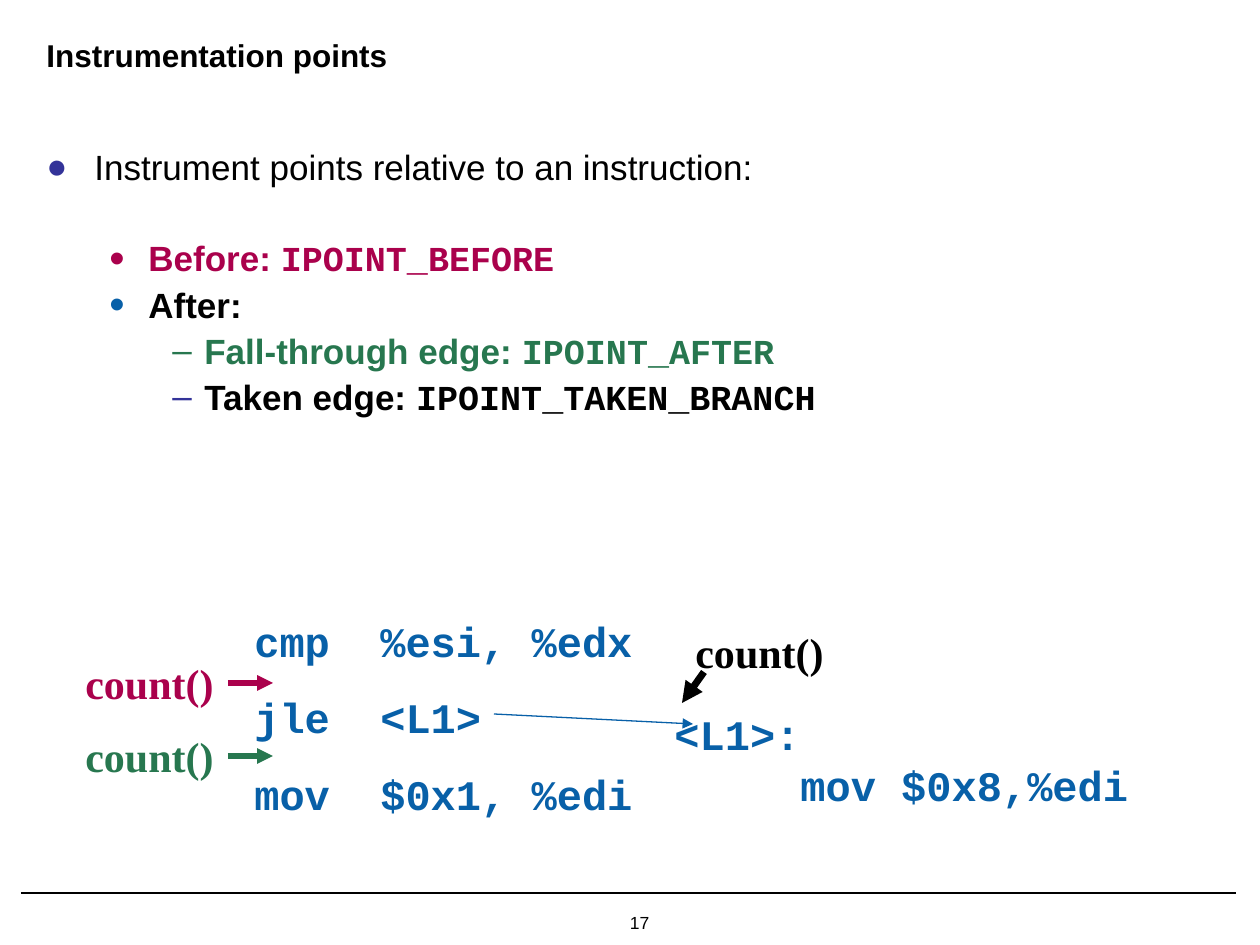
from dataclasses import dataclass
from lxml.etree import SubElement as Sub
from pptx import Presentation
from pptx.dml.color import RGBColor as Rgb
from pptx.enum.shapes import MSO_CONNECTOR as Conn
from pptx.enum.text import MSO_ANCHOR as Anchor
from pptx.oxml.ns import qn
from pptx.util import Pt


@dataclass(frozen=True)
class Theme:
    black: str = "000000"
    red: str = "AA014C"
    green: str = "27774F"
    blue: str = "0860A8"
    navy: str = "333399"
    sans: str = "Arial"
    mono: str = "Courier New"
    serif: str = "Times New Roman"
    small: int = 10
    title: int = 18
    body: int = 20
    code: int = 24


T = Theme()


def px(n):
    return round(n * 914400 / 126)


def add_box(slide, x, y, w, h, pad=True):
    frame = slide.shapes.add_textbox(px(x), px(y), px(w), px(h)).text_frame
    frame.word_wrap = True
    if not pad:
        frame.margin_left = frame.margin_right = 0
        frame.margin_top = frame.margin_bottom = 0
    return frame


def add_para(frame, first, space=0, lines=None):
    para = frame.paragraphs[0] if first else frame.add_paragraph()
    if not first:
        para.space_before = Pt(space)
    if lines:
        para.line_spacing = lines
    return para


def add_run(para, text, face, size, color, bold=True):
    run = para.add_run()
    run.text = text
    font = run.font
    font.name, font.size, font.bold = face, Pt(size), bold
    font.color.rgb = Rgb.from_string(color)


def add_mark(para, char, color, left, hang, scale):
    props = para._p.get_or_add_pPr()
    props.set("marL", str(px(left)))
    props.set("indent", str(px(-hang)))
    Sub(Sub(props, qn("a:buClr")), qn("a:srgbClr"), val=color)
    Sub(props, qn("a:buSzPct"), val=str(scale * 1000))
    Sub(props, qn("a:buFont"), typeface=T.sans)
    Sub(props, qn("a:buChar"), char=char)


def add_tab(para, pos):
    tabs = Sub(para._p.get_or_add_pPr(), qn("a:tabLst"))
    Sub(tabs, qn("a:tab"), pos=str(px(pos)), algn="l")


def add_line(slide, start, end, color, width, arrow=True):
    line = slide.shapes.add_connector(Conn.STRAIGHT, *map(px, start + end))
    line.line.color.rgb = Rgb.from_string(color)
    line.line.width = Pt(width)
    if arrow:
        Sub(line.line._get_or_add_ln(), qn("a:tailEnd"), type="triangle")
    Sub(line._element.spPr, qn("a:effectLst"))


def add_label(slide, text, box, face, size, color, bold=True, pad=True):
    frame = add_box(slide, *box, pad)
    add_run(add_para(frame, True), text, face, size, color, bold)
    return frame


def add_code(slide, box, rows, lines=None):
    frame = add_box(slide, *box)
    for i, text in enumerate(rows):
        para = add_para(frame, i == 0, 15, lines)
        add_tab(para, 126)
        add_run(para, text, T.mono, T.code, T.blue)


def add_list(slide):
    top, mid, low = ("●", 48, 48, 100), ("•", 102, 39, 125), ("–", 158, 32, 100)
    rows = [
        (top, T.navy, T.black, "Instrument points relative to an instruction:", "", 0),
        (mid, T.red, T.red, "Before: ", "IPOINT_BEFORE", 26),
        (mid, T.blue, T.black, "After:", "", 0),
        (low, T.green, T.green, "Fall-through edge: ", "IPOINT_AFTER", 0),
        (low, T.navy, T.black, "Taken edge: ", "IPOINT_TAKEN_BRANCH", 0),
    ]
    frame = add_box(slide, 34, 135, 1191, 326)
    for i, (mark, tint, color, text, name, space) in enumerate(rows):
        para = add_para(frame, i == 0, space, 1.1)
        char, left, hang, scale = mark
        add_mark(para, char, tint, left, hang, scale)
        add_run(para, text, T.sans, T.body, color, mark is not top)
        if name:
            add_run(para, name, T.mono, T.body, color)


def add_count(slide, box, color, start, end, width):
    add_line(slide, start, end, color, width)
    add_label(slide, "count()", box, T.serif, T.code, color)


def main():
    deck = Presentation()
    deck.slide_width, deck.slide_height = px(1260), px(945)
    slide = deck.slides.add_slide(deck.slide_layouts[6])

    add_line(slide, (21, 893), (1236, 893), T.black, 1, arrow=False)
    add_label(slide, "17", (630, 912, 39, 21), T.sans, T.small, T.black, False, False)
    title = add_label(slide, "Instrumentation points", (34, 26, 1191, 58),
                      T.sans, T.title, T.black)
    title.vertical_anchor = Anchor.MIDDLE
    add_list(slide)

    add_code(slide, (242, 609, 441, 217),
             ["cmp\t%esi, %edx", "jle\t<L1>", "mov\t$0x1, %edi"])
    add_code(slide, (662, 724, 483, 90), ["<L1>:", "\tmov $0x8,%edi"], 0.5)
    add_line(slide, (494, 714), (693, 724), T.blue, 0.75)

    for y, color in ((651, T.red), (724, T.green)):
        add_count(slide, (73, y, 190, 63), color, (228, y + 32), (273, y + 32), 3)
    add_count(slide, (683, 620, 231, 140), T.black, (704, 672), (682, 703), 4)

    deck.save("out.pptx")


if __name__ == "__main__":
    main()
